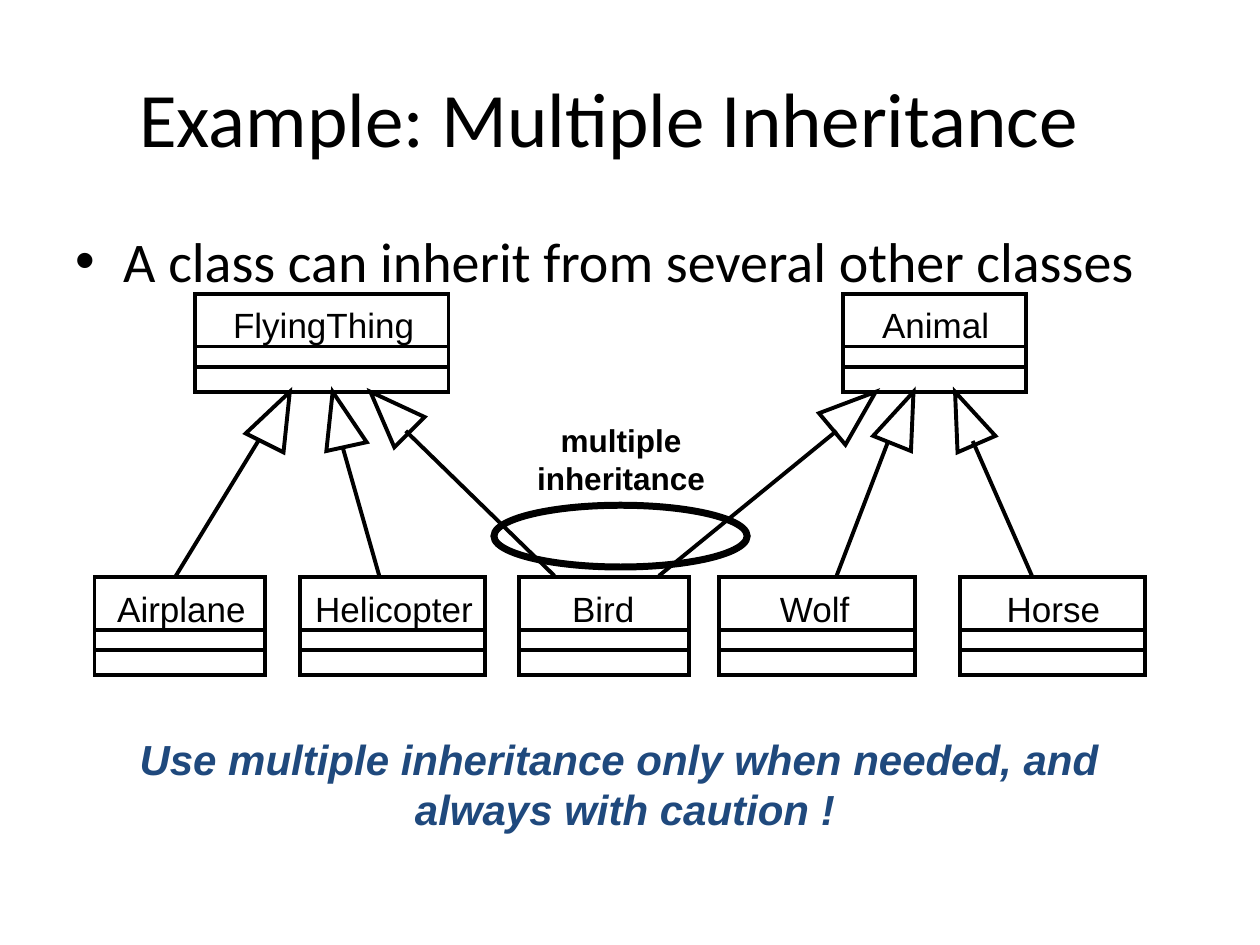
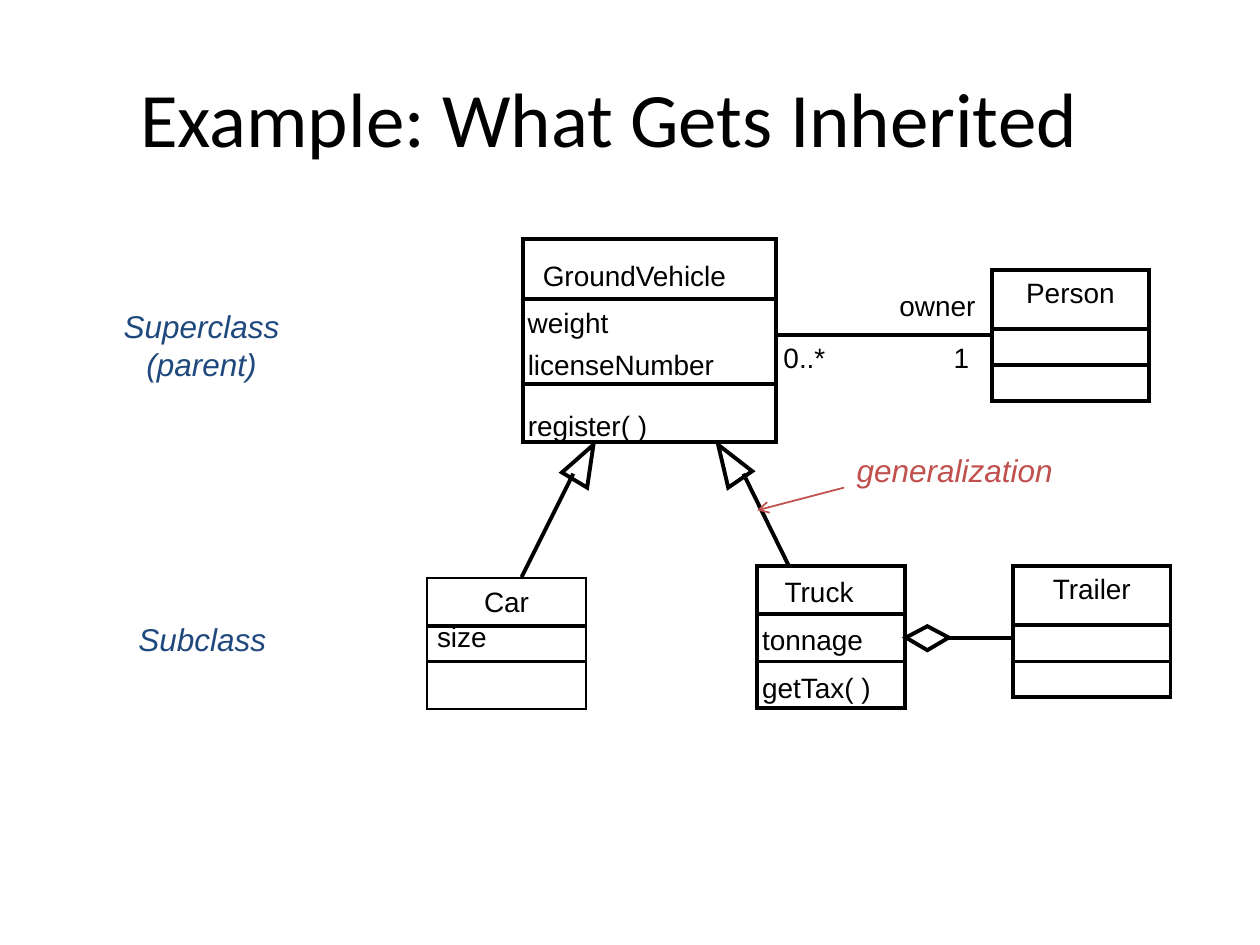
"""Build two slides of class diagrams about inheritance."""
import pptx
import pptx.dml.color
import pptx.enum.shapes
import pptx.enum.text
import pptx.oxml
import pptx.oxml.ns
import pptx.util

Inches = pptx.util.Inches
Pt = pptx.util.Pt
KIND = pptx.enum.shapes.MSO_SHAPE
LINE = pptx.enum.shapes.MSO_CONNECTOR.STRAIGHT
TOP = pptx.enum.text.MSO_ANCHOR.TOP
MIDDLE = pptx.enum.text.MSO_ANCHOR.MIDDLE
FIT = pptx.enum.text.MSO_AUTO_SIZE
LEFT = pptx.enum.text.PP_ALIGN.LEFT
MID = pptx.enum.text.PP_ALIGN.CENTER
XML = 'xmlns:a="http://schemas.openxmlformats.org/drawingml/2006/main"'
BLACK, BLUE, RED = "000000", "1F497D", "C0504D"


def hue(code):
    return pptx.dml.color.RGBColor.from_string(code)


def write(shape, text, size=16, font="Arial", color=BLACK, bold=False, slant=False,
          align=LEFT, anchor=TOP, inset=(0.1, 0.05), wrap=False, grow=True, before=0):
    frame = shape.text_frame
    frame.word_wrap = wrap
    frame.auto_size = FIT.SHAPE_TO_FIT_TEXT if grow else FIT.NONE
    frame.vertical_anchor = anchor
    frame.margin_left = frame.margin_right = Inches(inset[0])
    frame.margin_top = frame.margin_bottom = Inches(inset[1])
    for i, part in enumerate(text.split("\n")):
        para = frame.add_paragraph() if i else frame.paragraphs[0]
        para.alignment = align
        para.space_before = Pt(before)
        run = para.add_run()
        run.text = part
        run.font.name, run.font.size = font, Pt(size)
        run.font.bold, run.font.italic = bold, slant
        run.font.color.rgb = hue(color)


deck = pptx.Presentation()
deck.slide_width, deck.slide_height = Inches(10), Inches(7.5)

low, high = 4.58, 2.33
names = [
    ("Airplane", 0.75, low, 1.35, 0.93, 1.05),
    ("Helicopter", 2.38, low, 1.47, 2.5, 1.28),
    ("Bird", 4.12, low, 1.35, 4.54, 0.53),
    ("Wolf", 5.71, low, 1.55, 6.19, 0.59),
    ("Horse", 7.62, low, 1.47, 7.99, 0.77),
    ("FlyingThing", 1.55, high, 2.01, 1.85, 1.47),
    ("Animal", 6.69, high, 1.45, 7, 0.88),
]
plain = dict(size=20, inset=(0, 0))
note = dict(size=18, slant=True, wrap=True, before=11.2)

first = dict(
    title="Example: Multiple Inheritance",
    boxes=[("", x, y, w, 0.78, 2.25, (0.42, 0.58)) for name, x, y, w, left, wide in names],
    labels=[(name, left, y + 0.08, wide, 0.33, plain)
            for name, x, y, w, left, wide in names] + [
        ("multiple\ninheritance", 4.16, 3.29, 1.54, 0.7, dict(size=18, bold=True, align=MID)),
        ("Use multiple inheritance only when needed, and \nalways with caution !",
         0.42, 5.77, 9.08, 0.9,
         dict(size=24, color=BLUE, bold=True, slant=True, align=MID, wrap=True)),
    ],
    links=[
        (1.39, 4.58, 2.05, 3.5), (3.01, 4.57, 2.72, 3.55), (4.4, 4.57, 3.22, 3.42),
        (5.23, 4.57, 6.64, 3.42), (6.64, 4.57, 7.05, 3.5), (8.19, 4.57, 7.72, 3.5),
    ],
    heads=[
        [(2.3, 3.11), (2.25, 3.59), (1.95, 3.44)],
        [(2.64, 3.11), (2.91, 3.51), (2.59, 3.58)],
        [(2.94, 3.11), (3.37, 3.31), (3.13, 3.55)],
        [(6.95, 3.11), (6.71, 3.53), (6.5, 3.28)],
        [(7.25, 3.11), (7.23, 3.58), (6.93, 3.46)],
        [(7.58, 3.11), (7.9, 3.46), (7.6, 3.59)],
    ],
)

second = dict(
    title="Example: What Gets Inherited",
    boxes=[
        ("", 4.15, 1.9, 2.01, 1.61, 2.25, (0.47, 1.15)),
        ("", 6.01, 4.49, 1.17, 1.13, 2.25, (0.38, 0.76)),
        ("Car", 3.39, 4.59, 1.26, 1.04, 1, (0.38, 0.66)),
        ("Trailer", 8.04, 4.49, 1.25, 1.04, 2.25, (0.47, 0.76)),
        ("Person", 7.87, 2.14, 1.25, 1.04, 2.25, (0.47, 0.76)),
    ],
    labels=[
        ("GroundVehicle", 4.21, 2, 1.67, 0.37, {}),
        ("weight", 4.09, 2.38, 0.84, 0.37, {}),
        ("licenseNumber", 4.09, 2.71, 1.68, 0.37, {}),
        ("register( )", 4.09, 3.19, 1.15, 0.37, {}),
        ("Truck", 6.13, 4.51, 0.76, 0.37, {}),
        ("tonnage", 5.95, 4.89, 1, 0.37, {}),
        ("getTax( )", 5.95, 5.27, 1.09, 0.37, {}),
        ("size", 3.37, 4.87, 1.62, 0.37, dict(wrap=True, before=10)),
        ("owner", 7.04, 2.24, 0.81, 0.37, {}),
        ("0..*", 6.12, 2.65, 0.54, 0.37, {}),
        ("1", 7.47, 2.65, 0.33, 0.37, {}),
        ("Superclass (parent)", 0.87, 2.39, 1.46, 0.7, dict(note, color=BLUE, align=MID)),
        ("Subclass", 0.72, 4.87, 1.77, 0.4, dict(note, color=BLUE, align=MID)),
        ("generalization", 6.7, 3.53, 2.27, 0.4, dict(note, color=RED)),
    ],
    links=[
        (4.14, 4.58, 4.55, 3.76), (6.26, 4.49, 5.9, 3.76), (7.53, 5.06, 8.03, 5.06),
        (6.7, 3.87, 6.01, 4.05, RED, 1), (6.17, 2.66, 7.87, 2.66),
    ],
    heads=[
        [(4.71, 3.53), (4.66, 3.87), (4.46, 3.75)],
        [(5.7, 3.53), (5.97, 3.74), (5.78, 3.87)],
        [(7.19, 5.06), (7.36, 5.16), (7.53, 5.06), (7.36, 4.97)],
    ],
)

for page in (first, second):
    slide = deck.slides.add_slide(deck.slide_layouts[6])
    shapes = slide.shapes
    outlines = []
    links = list(page["links"])

    for name, x, y, w, h, weight, rules in page["boxes"]:
        box = shapes.add_shape(KIND.RECTANGLE, Inches(x), Inches(y), Inches(w), Inches(h))
        outlines.append((box, weight))
        if name:
            write(box, name, align=MID, grow=False)
        links += [(x, y + drop, x + w, y + drop) for drop in rules]

    for points in page["heads"]:
        spots = [(Inches(x), Inches(y)) for x, y in points]
        pen = shapes.build_freeform(*spots[0], scale=1.0)
        pen.add_line_segments(spots[1:], close=True)
        outlines.append((pen.convert_to_shape(), 2.25))

    if page is first:
        ring = shapes.add_shape(KIND.OVAL, Inches(3.92), Inches(4.01), Inches(2.01), Inches(0.49))
        outlines.append((ring, 4))

    for shape, weight in outlines:
        shape.shadow.inherit = False
        shape.fill.background()
        shape.line.color.rgb = hue(BLACK)
        shape.line.width = Pt(weight)
        stroke = shape._element.spPr.find(pptx.oxml.ns.qn("a:ln"))
        stroke.append(pptx.oxml.parse_xml(f'<a:miter {XML} lim="800000"/>'))

    for x, y, right, down, *style in links:
        color, weight = style or (BLACK, 2.25)
        link = shapes.add_connector(LINE, Inches(x), Inches(y), Inches(right), Inches(down))
        link.line.color.rgb = hue(color)
        link.line.width = Pt(weight)
        props = link._element.spPr
        props.append(pptx.oxml.parse_xml(f"<a:effectLst {XML}/>"))
        if color == RED:
            stroke = props.find(pptx.oxml.ns.qn("a:ln"))
            stroke.append(pptx.oxml.parse_xml(f'<a:tailEnd {XML} type="arrow"/>'))
        if (x, y) == (6.17, 2.66):
            link.end_connect(box, 1)

    for text, x, y, w, h, style in page["labels"]:
        label = shapes.add_textbox(Inches(x), Inches(y), Inches(w), Inches(h))
        write(label, text, **style)

    head = shapes.add_textbox(Inches(0.5), Inches(0.3), Inches(8.67), Inches(1.25))
    write(head, page["title"], size=44, font="Calibri", align=MID, anchor=MIDDLE,
          wrap=True, grow=False)

    if page is first:
        body = shapes.add_textbox(Inches(0.5), Inches(1.75), Inches(9), Inches(4.95))
        write(body, "A class can inherit from several other classes", size=32,
              font="Calibri", wrap=True, grow=False, before=8)
        props = body.text_frame.paragraphs[0]._p.get_or_add_pPr()
        props.set("marL", str(Inches(0.38)))
        props.set("indent", str(-Inches(0.38)))
        props.append(pptx.oxml.parse_xml(f'<a:buFont {XML} typeface="Arial"/>'))
        props.append(pptx.oxml.parse_xml(f'<a:buChar {XML} char="•"/>'))

deck.save("out.pptx")
